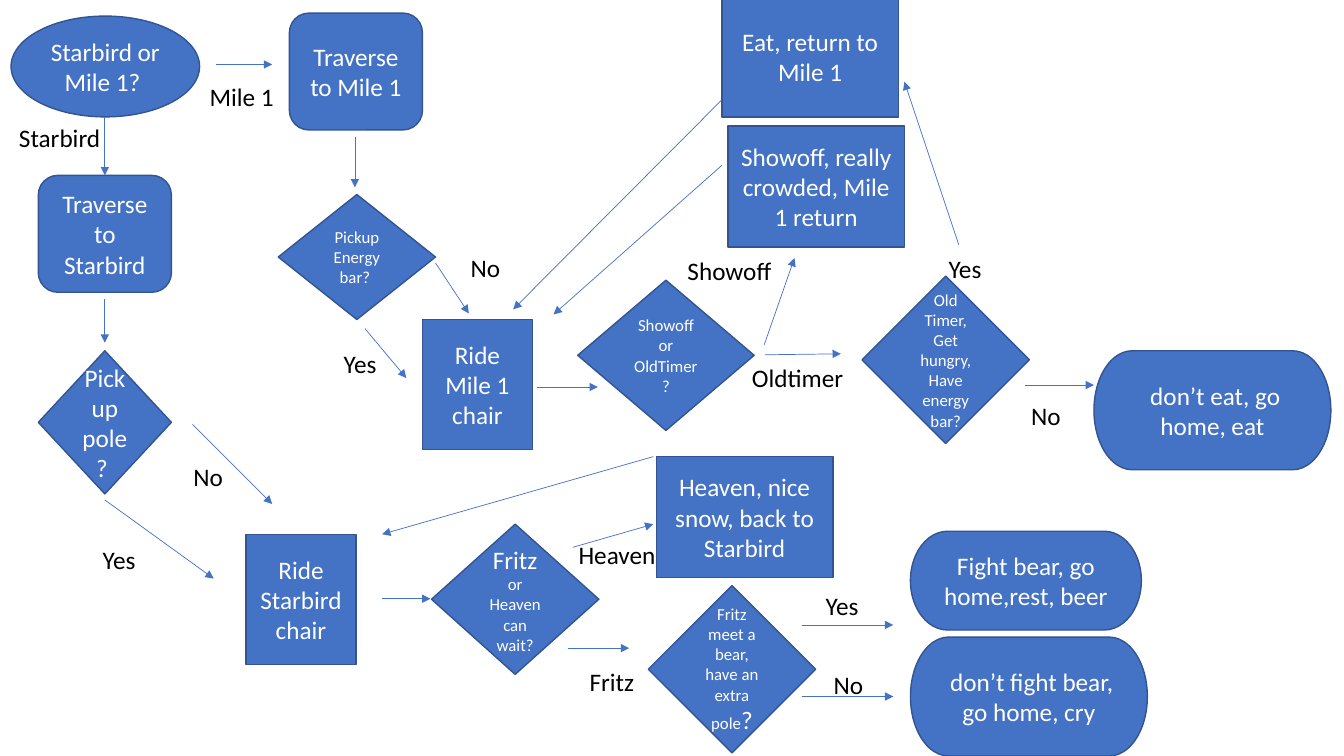
from pptx import Presentation
from pptx.util import Inches, Pt
from pptx.dml.color import RGBColor
from pptx.enum.shapes import MSO_SHAPE as Kind, MSO_CONNECTOR as Link
from pptx.enum.text import PP_ALIGN as Align, MSO_ANCHOR as Anchor, MSO_AUTO_SIZE as Fit
from pptx.oxml.ns import qn
from lxml.etree import SubElement as Sub


def color(text):
    return RGBColor.from_string(text)


class Chart:
    font, blue, edge, white, black = "Calibri", "4472C4", "325491", "FFFFFF", "000000"

    def __init__(self, slide):
        self.slide = slide

    def run(self, para, text, size, tint):
        part = para.add_run()
        part.text = text
        part.font.name, part.font.size = self.font, Pt(size)
        part.font.color.rgb = color(tint)

    def node(self, kind, spot, *paras):
        """Each paragraph is a list of (text, size) runs."""
        shape = self.slide.shapes.add_shape(kind, *map(Inches, spot))
        shape.shadow.inherit = False
        shape.fill.solid()
        shape.fill.fore_color.rgb = color(self.blue)
        shape.line.color.rgb = color(self.edge)
        shape.line.width = Pt(1)
        frame = shape.text_frame
        frame.word_wrap = True
        frame.vertical_anchor = Anchor.MIDDLE
        for i, runs in enumerate(paras):
            para = frame.add_paragraph() if i else frame.paragraphs[0]
            para.alignment = Align.CENTER
            for text, size in runs:
                self.run(para, text, size, self.white)

    def arrow(self, *ends):
        line = self.slide.shapes.add_connector(Link.STRAIGHT, *map(Inches, ends))
        line.line.color.rgb = color(self.blue)
        line.line.width = Pt(0.5)
        Sub(line.line._get_or_add_ln(), qn("a:tailEnd"), type="triangle")
        Sub(line._element.spPr, qn("a:effectLst"))

    def label(self, text, left, top, width, wrap=True):
        box = self.slide.shapes.add_textbox(*map(Inches, (left, top, width, 0.4)))
        frame = box.text_frame
        frame.word_wrap = wrap
        frame.auto_size = Fit.SHAPE_TO_FIT_TEXT
        self.run(frame.paragraphs[0], text, 18, self.black)


deck = Presentation()
deck.slide_width, deck.slide_height = Inches(13.33), Inches(7.5)
flow = Chart(deck.slides.add_slide(deck.slide_layouts[6]))

# Start, moves, chairs and outcomes
round_box, step, end = Kind.ROUNDED_RECTANGLE, Kind.FLOWCHART_PROCESS, Kind.FLOWCHART_TERMINATOR
move, chair, trail, stop = (1.32, 1.16), (1.09, 1.29), (1.75, 1.2), (2.35, 1.18)
for kind, left, top, size, text in [
    (Kind.OVAL, 0.11, 0.16, (1.87, 1), "Starbird or Mile 1? "),
    (round_box, 0.38, 1.74, move, "Traverse to Starbird"),
    (round_box, 2.87, 0.13, move, "Traverse to Mile 1"),
    (step, 2.44, 5.3, chair, "Ride Starbird chair"),
    (step, 4.19, 3.17, chair, "Ride Mile 1 chair"),
    (step, 6.51, 4.53, trail, "Heaven, nice snow, back to Starbird"),
    (step, 7.22, 1.25, trail, "Showoff, really crowded, Mile 1 return"),
    (step, 7.16, -0.04, trail, "Eat, return to Mile 1"),
    (end, 10.85, 3.48, stop, " don’t eat, go home, eat"),
    (end, 9.03, 5.27, (2.29, 0.98), "Fight bear, go home,rest, beer"),
    (end, 9.03, 6.32, stop, " don’t fight bear, go home, cry"),
]:
    flow.node(kind, (left, top, *size), [(text, 18)])

# Decisions
for spot, *paras in [
    ((0.38, 3.48, 1.32, 1.42), [("Pickup pole? ", 18)]),
    ((2.76, 1.93, 1.56, 1.24), [("Pickup Energy bar? ", 12)]),
    ((4.28, 5.2, 1.66, 1.49), [("Fritz ", 18), ("or Heaven can wait?", 12)]),
    ((5.73, 2.78, 1.75, 1.49), [("Showoff or OldTimer?", 12)]),
    ((6.43, 5.81, 1.66, 1.66), [("Fritz meet a bear, have an extra", 12)],
     [("pole", 12), ("?", 18)]),
    ((8.55, 2.74, 1.66, 1.66), [("Old Timer, Get hungry, Have energy bar?", 12)]),
]:
    flow.node(Kind.FLOWCHART_DECISION, spot, *paras)

# Arrows
for ends in [
    # Starbird side
    (1.04, 1.16, 1.04, 1.74), (1.04, 2.97, 1.04, 3.4),
    (1.91, 4.21, 2.7, 5), (1.04, 4.96, 2.12, 5.74),
    (3.79, 5.94, 4.27, 5.94), (5.68, 5.43, 6.48, 5.2),
    (5.63, 6.43, 6.24, 6.43), (6.48, 4.53, 3.79, 5.3),
    (7.95, 6.2, 8.86, 6.2), (7.95, 6.91, 8.86, 6.91),
    # Mile 1 side
    (2.14, 0.64, 2.7, 0.64), (3.52, 1.36, 3.52, 1.86),
    (4.32, 2.61, 4.65, 3.11), (3.62, 3.26, 4.03, 3.75),
    (5.33, 3.84, 5.93, 3.84), (7.59, 3.52, 8.34, 3.51),
    (7.58, 3.42, 7.88, 2.56), (10.17, 3.82, 10.85, 3.82),
    (9.51, 2.43, 8.97, 0.81), (7.16, 0.99, 5.09, 3.07),
    (7.16, 1.64, 5.49, 3.12),
]:
    flow.arrow(*ends)

# Branch labels
for item in [
    ("Mile 1", 1.98, 0.76, 0.92), ("Starbird", 0.09, 1.16, 1.13),
    ("No", 1.82, 4.53, 1.32), ("Yes", 0.92, 5.35, 0.81),
    ("Heaven", 5.64, 5.3, 1.17), ("Fritz", 5.75, 6.56, 1.17),
    ("Yes", 8.09, 5.81, 0.78), ("No", 8.17, 6.59, 0.74),
    ("No", 4.57, 2.45, 0.5, False), ("Yes", 3.31, 3.41, 0.53, False),
    ("Showoff", 6.72, 2.48, 1.32), ("Oldtimer", 7.36, 3.55, 1.12, False),
    ("No", 10.13, 3.92, 0.74), ("Yes", 9.31, 2.46, 0.74),
]:
    flow.label(*item)

deck.save("out.pptx")
